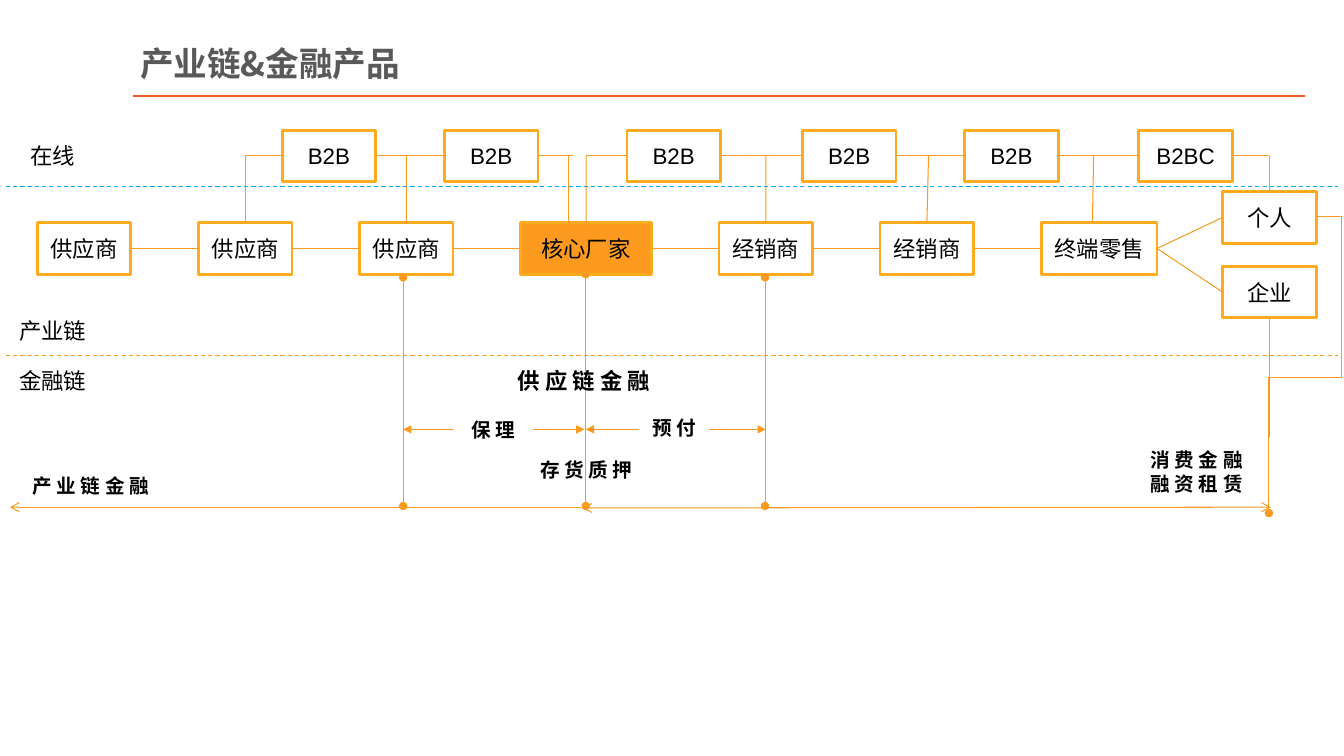
from lxml import etree
from pptx import Presentation
from pptx.dml.color import RGBColor
from pptx.enum.dml import MSO_LINE
from pptx.enum.shapes import MSO_CONNECTOR, MSO_SHAPE
from pptx.enum.text import MSO_ANCHOR, PP_ALIGN
from pptx.oxml.ns import qn
from pptx.util import Cm, Pt

RECTANGLE = MSO_SHAPE.RECTANGLE
STRAIGHT, ELBOW = MSO_CONNECTOR.STRAIGHT, MSO_CONNECTOR.ELBOW
DASH = MSO_LINE.DASH
MIDDLE = MSO_ANCHOR.MIDDLE
LEFT, CENTER = PP_ALIGN.LEFT, PP_ALIGN.CENTER
TOP, WEST, BOTTOM, EAST = range(4)

BOX_W, BOX_H = 2.36, 1.3


def rgb(value):
    return RGBColor.from_string(value)


class ChainSlide:
    LATIN, CJK = "Arial", "Noto Sans CJK SC"
    INK, TITLE, WHITE = "000000", "595959", "FFFFFF"
    EDGE, LINK, RULE, ONLINE = "FCAB1F", "FC9A1F", "F05A28", "00B0F0"

    def __init__(self, deck):
        self.slide = deck.slides.add_slide(deck.slide_layouts[5])
        self.shapes = self.slide.shapes

    def set_text(self, shape, text, size, bold=False, color=INK, latin=LATIN, align=CENTER):
        frame = shape.text_frame
        frame.text = text
        frame.word_wrap = True
        frame.vertical_anchor = MIDDLE
        for paragraph in frame.paragraphs:
            paragraph.alignment = align
            for run in paragraph.runs:
                font = run.font
                font.size, font.bold, font.name = Pt(size), bold, latin
                font.color.rgb = rgb(color)
                east_asian = etree.SubElement(font._element, qn("a:ea"))
                east_asian.set("typeface", self.CJK)

    def title(self, text, left, top, width, height):
        heading = self.shapes.title
        heading.left, heading.top = Cm(left), Cm(top)
        heading.width, heading.height = Cm(width), Cm(height)
        self.set_text(heading, text, 24, True, self.TITLE, self.CJK, LEFT)
        frame = heading.text_frame
        frame.margin_left = frame.margin_right = Cm(0.18)
        frame.margin_top = frame.margin_bottom = Cm(0.1)

    def box(self, text, left, top, width=BOX_W, height=BOX_H, fill=WHITE,
            edge=EDGE, size=16, bold=False):
        box = self.shapes.add_shape(RECTANGLE, Cm(left), Cm(top), Cm(width), Cm(height))
        box.shadow.inherit = False
        box.fill.solid()
        box.fill.fore_color.rgb = rgb(fill)
        if edge:
            box.line.color.rgb = rgb(edge)
            box.line.width = Pt(2)
        else:
            box.line.fill.background()
        self.set_text(box, text, size, bold)
        frame = box.text_frame
        frame.margin_left = frame.margin_right = 0
        return box

    def label(self, text, left, top, width=BOX_W, size=16, bold=False):
        label = self.shapes.add_textbox(Cm(left), Cm(top), Cm(width), Cm(BOX_H))
        self.set_text(label, text, size, bold)

    def line(self, start, end, color=LINK, width=0.75, dash=None, head=None,
             tail=None, kind=STRAIGHT):
        """Each end is an (x, y) point or a (box, side) pair."""
        start_free, end_free = (isinstance(place[0], (int, float)) for place in (start, end))
        x1, y1 = start if start_free else (0, 0)
        x2, y2 = end if end_free else (0, 0)
        line = self.shapes.add_connector(kind, Cm(x1), Cm(y1), Cm(x2), Cm(y2))
        if not start_free:
            line.begin_connect(*start)
        if not end_free:
            line.end_connect(*end)
        line.line.color.rgb = rgb(color)
        line.line.width = Pt(width)
        if dash:
            line.line.dash_style = dash
        stroke = line._element.spPr.find(qn("a:ln"))
        for tag, arrow in (("a:headEnd", head), ("a:tailEnd", tail)):
            if arrow:
                etree.SubElement(stroke, qn(tag)).set("type", arrow)
        etree.SubElement(line._element.spPr, qn("a:effectLst"))
        return line

    def four_part_elbow(self, start, end, adjustments, tail):
        elbow = self.line(start, end, tail=tail, kind=ELBOW)
        geometry = elbow._element.spPr.find(qn("a:prstGeom"))
        geometry.set("prst", "bentConnector4")
        guides = geometry.find(qn("a:avLst"))
        if guides is None:
            guides = etree.SubElement(geometry, qn("a:avLst"))
        for number, value in enumerate(adjustments, 1):
            guide = etree.SubElement(guides, qn("a:gd"))
            guide.set("name", f"adj{number}")
            guide.set("fmla", f"val {value}")


def main():
    deck = Presentation()
    deck.slide_width, deck.slide_height = Cm(33.87), Cm(19.05)
    page = ChainSlide(deck)

    # Title and rule
    page.title("产业链&金融产品", 3.35, 0.99, 21.84, 1.22)
    page.line((3.35, 2.42), (32.89, 2.42), color=page.RULE, width=1.5)

    # Industry chain
    chain_top, chain_gap = 5.61, 1.7
    members = [("供应商", BOX_W)] * 3 + [("核心厂家", 3.3)]
    members += [("经销商", BOX_W)] * 2 + [("终端零售", 2.92)]
    chain, left = [], 0.94
    for name, width in members:
        fill = page.LINK if name == "核心厂家" else page.WHITE
        chain.append(page.box(name, left, chain_top, width, fill=fill))
        left += width + chain_gap
    person = page.box("个人", 30.81, 4.83)
    company = page.box("企业", 30.81, 6.71)
    for seller, buyer in zip(chain, chain[1:]):
        page.line((seller, EAST), (buyer, WEST))
    for customer in (person, company):
        page.line((chain[-1], EAST), (customer, WEST))
    page.label("产业链", 0.15, 7.67)

    # Online platforms
    online_top = 3.28
    online_y = online_top + BOX_H / 2
    platforms = [page.box("B2BC" if x == 28.7 else "B2B", x, online_top)
                 for x in (7.11, 11.2, 15.8, 20.22, 24.31, 28.7)]
    for index in (0, 2, 3, 4):
        page.line((platforms[index], EAST), (platforms[index + 1], WEST))
    page.line((6.18, online_y), (platforms[0], WEST))
    page.line((platforms[1], EAST), (14.43, online_y))
    page.line((14.77, online_y), (platforms[2], WEST))
    page.line((platforms[5], EAST), (31.99, online_y))
    risers = zip(chain[1:6] + [person], (6.18, 10.24, 14.77, 19.3, 23.4, 31.99))
    for member, x in risers:
        page.line((member, TOP), (x, online_y))
    page.line((14.33, chain_top), (14.33, online_y))
    page.line((27.53, chain_top), (27.56, online_y))
    page.label("在线", 0.15, online_top)

    # Lane dividers
    for y, color in ((4.7, page.ONLINE), (8.97, page.LINK)):
        page.line((0.15, y), (33.73, y), color=color, dash=DASH)

    # Finance boundaries
    page.four_part_elbow((33.17, 5.46), (31.98, 12.93), (-53400, 54300), "oval")
    page.line((31.99, 11.02), (company, BOTTOM))
    for x, top in ((10.16, 6.99), (19.28, 6.99), (14.76, 6.91)):
        page.line((x, 12.75), (x, top), head="oval", tail="oval")
    page.line((14.68, 12.8), (32.03, 12.78), head="arrow", tail="arrow")
    page.line((0.25, 12.78), (14.63, 12.78), head="arrow")
    for start, end in ((10.16, 14.73), (14.76, 19.3)):
        page.line((start, 10.82), (end, 10.82), head="triangle", tail="triangle")

    # Finance products
    page.label("金融链", 0.15, 8.94)
    page.label("供 应 链 金 融", 12.62, 8.94, 4.19, bold=True)
    for text, x, y, width in (("消 费 金 融\n融 资 租 赁", 28.27, 11.23, 3.78),
                              ("产 业 链 金 融", 0.46, 11.58, 3.66),
                              ("存 货 质 押", 13.06, 11.18, 3.43)):
        page.label(text, x, y, width, size=14, bold=True)
    for text, x, y, width, height in (("保 理", 11.43, 10.44, 2.01, 0.79),
                                      ("预 付", 16.1, 10.13, 1.78, BOX_H)):
        page.box(text, x, y, width, height, edge=None, size=14, bold=True)

    deck.save("out.pptx")


if __name__ == "__main__":
    main()
